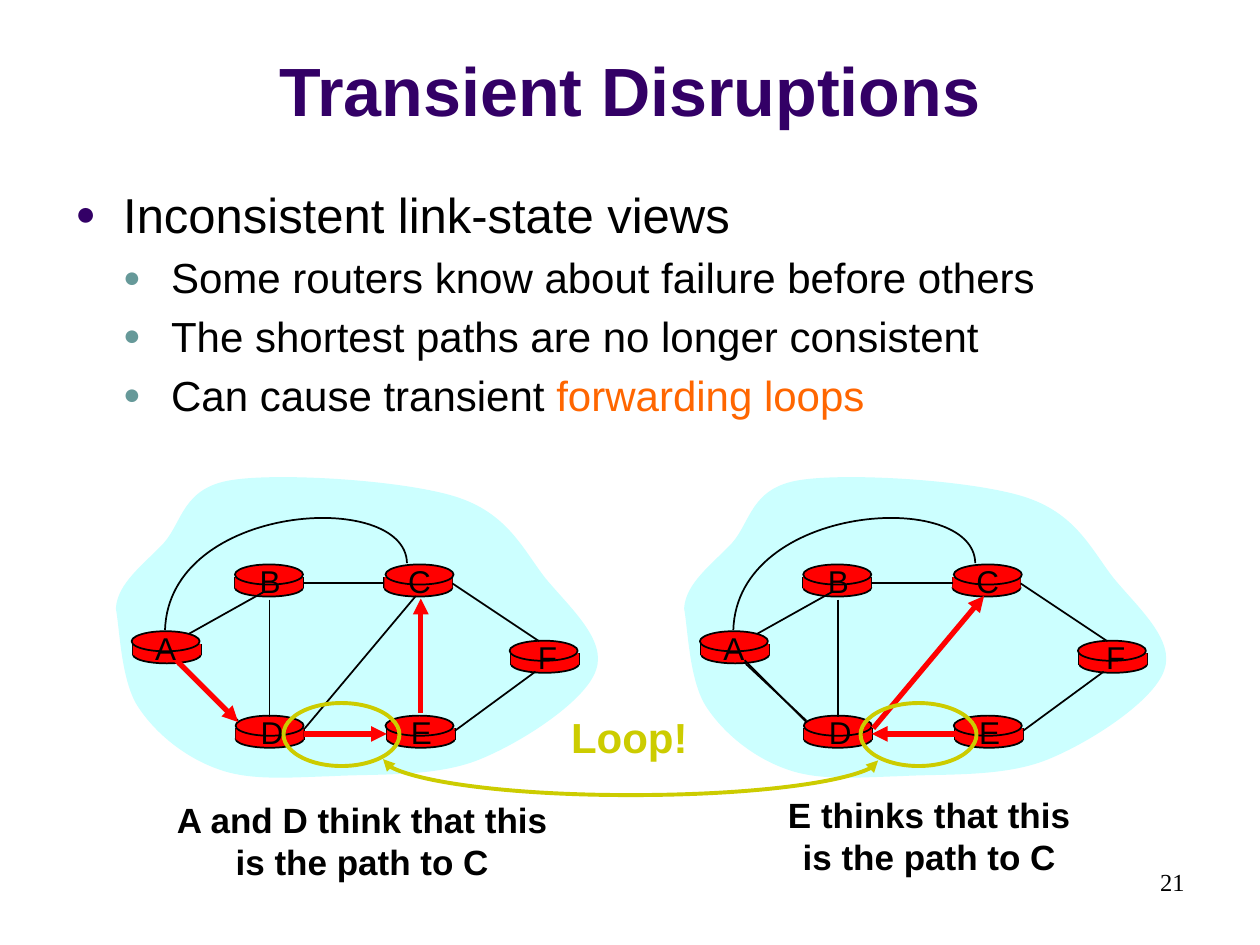
import pptx
import pptx.dml.color
import pptx.enum.shapes
import pptx.enum.text
import pptx.oxml.ns
import pptx.util
from lxml import etree

COLUMNS, ROWS = 100, 75
INK, RED, OLIVE, PURPLE, TEAL = "000000", "FF0000", "CCCC00", "330066", "669999"
SHAPE = pptx.enum.shapes.MSO_SHAPE
ALIGN = pptx.enum.text.PP_ALIGN
ANCHOR = pptx.enum.text.MSO_ANCHOR

CLOUD = [
    (0, 10.8),
    (0.1, 8.8), (2.2, 7.3), (3.8, 5.6), (5.3, 3.9), (5.3, 1.2), (9.2, 0.6),
    (13, 0), (22.7, 0.6), (26.9, 1.9), (31.1, 3.2), (32.3, 6.1), (34.1, 8.4),
    (36, 10.7), (39, 13.3), (38.1, 15.7), (37.3, 18.1), (32.3, 21.4), (28.8, 22.8),
    (25.3, 24.2), (20.7, 23.9), (17.2, 24.1), (13.8, 24.2), (10.6, 24.5), (8, 23.5),
    (5.5, 22.6), (3.1, 20.7), (1.7, 18.5), (0.4, 16.4), (0.3, 12.4), (0, 10.8),
]
DETOUR = [(23.1, 7.2), (23, 1.3), (4.2, 2.4), (3.9, 12.5)]
ROUTERS = {"A": (1.25, 12.6, 0.1, 0.85), "B": (9.45, 7.3, 0, 0.95),
           "C": (21.4, 7.3, -0.1, 0.8), "D": (9.5, 19.3, 0, 1),
           "E": (21.4, 19.3, 0.1, 1), "F": (31.25, 13.35, 0.1, 1.15)}
LINKS = {"AB": (5.8, 12.8, 11.7, 9.5), "BD": (12.2, 10.1, 12.2, 19.4),
         "DC": (15, 20.3, 23.8, 9.8), "EF": (26.9, 20.5, 33.3, 15.8),
         "DA": (9.7, 19.7, 4.9, 15.2), "CF": (26.7, 8.8, 33.6, 13.4),
         "AD": (4.8, 14.9, 9.7, 19.8), "EC": (24.2, 19.1, 24.2, 10)}
SIDE_LINKS = ["BC", "DE"]


def cells(*counts):
    """Turn grid cells, a tenth of an inch each, into lengths."""
    return [pptx.util.Inches(count / 10) for count in counts]


def rgb(code):
    """Return a colour from its hex string."""
    return pptx.dml.color.RGBColor.from_string(code)


def sub(parent, tag, **attributes):
    """Append a drawing element with attributes."""
    element = etree.SubElement(parent, pptx.oxml.ns.qn(tag))
    for key, value in attributes.items():
        element.set(key, value)
    return element


def write(paragraph, text, size=18, color=INK, font="Arial", bold=False, align=None):
    """Add text to a paragraph, breaking at newlines."""
    if align is not None:
        paragraph.alignment = align
    for index, line in enumerate(text.split("\n")):
        if index:
            paragraph.add_line_break()
        run = paragraph.add_run()
        run.text = line
        run.font.size = pptx.util.Pt(size)
        run.font.name = font
        run.font.bold = bold
        run.font.color.rgb = rgb(color)


def add_frame(slide, box, anchor=ANCHOR.TOP, wrap=True):
    """Add an empty text box and return its frame."""
    frame = slide.shapes.add_textbox(*cells(*box)).text_frame
    frame.word_wrap = wrap
    frame.vertical_anchor = anchor
    return frame


def style(shape, fill=None, line=None, width=1):
    """Set fill and outline, and drop the shadow."""
    shape.shadow.inherit = False
    if fill:
        shape.fill.solid()
        shape.fill.fore_color.rgb = rgb(fill)
    else:
        shape.fill.background()
    if line:
        shape.line.color.rgb = rgb(line)
        shape.line.width = pptx.util.Pt(width)
    else:
        shape.line.fill.background()
    return shape


def add_line(slide, ends, color=INK, width=1, arrows=(), kind="STRAIGHT"):
    """Add a connector with arrowheads at the named ends."""
    connector = slide.shapes.add_connector(
        getattr(pptx.enum.shapes.MSO_CONNECTOR, kind), *cells(*ends))
    connector.line.color.rgb = rgb(color)
    connector.line.width = pptx.util.Pt(width)
    for arrow in arrows:
        sub(connector.line._get_or_add_ln(), arrow, type="triangle")
    sub(connector._element.spPr, "a:effectLst")
    return connector


def add_curve(slide, origin, points, close, **look):
    """Draw an outline of cubic curves, three points to each curve."""
    left, top = origin
    places = [cells(left + x, top + y) for x, y in points]
    builder = slide.shapes.build_freeform(*places[0])
    builder.add_line_segments(places[1:], close=close)
    outline = builder.convert_to_shape()
    segments = list(outline._element.spPr.iter(pptx.oxml.ns.qn("a:lnTo")))
    for first in range(0, len(segments), 3):
        bend = etree.Element(pptx.oxml.ns.qn("a:cubicBezTo"))
        segments[first].addprevious(bend)
        for segment in segments[first:first + 3]:
            bend.append(segment[0])
            segment.getparent().remove(segment)
    style(outline, **look)


def add_router(slide, x, y, shift):
    """Draw a router as a flat cylinder and return its middle band."""
    body = x + shift
    style(slide.shapes.add_shape(SHAPE.OVAL, *cells(body, y + 1.15, 5.4, 1.4)), RED, INK)
    for side in (body, body + 5.4):
        add_line(slide, (side, y + 1, side, y + 1.9))
    band = style(slide.shapes.add_shape(SHAPE.RECTANGLE, *cells(body, y + 1, 5.4, 0.9)), RED)
    style(slide.shapes.add_shape(SHAPE.OVAL, *cells(x, y, 5.4, 1.6)), RED, INK)
    return band


def add_network(slide, origin, hops):
    """Draw the network at an origin, with the hops as red arrows."""
    left, top = origin
    red_arrow = dict(color=RED, width=3, arrows=["a:tailEnd"])
    add_curve(slide, origin, CLOUD, True, fill="CCFFFF")
    bands = {name: add_router(slide, left + x, top + y, shift)
             for name, (x, y, shift, _) in ROUTERS.items()}
    for name, (x1, y1, x2, y2) in LINKS.items():
        if name in hops or name != "EC":
            look = red_arrow if name in hops else {}
            add_line(slide, (left + x1, top + y1, left + x2, top + y2), **look)
    for name in SIDE_LINKS:
        reverse = name[::-1] in hops
        look = red_arrow if reverse or name in hops else {}
        link = add_line(slide, (left, top, left, top), **look)
        begin, end = name[::-1] if reverse else name
        link.begin_connect(bands[begin], 1 if reverse else 3)
        link.end_connect(bands[end], 3 if reverse else 1)
    add_curve(slide, origin, DETOUR, False, line=INK)
    for name, (x, y, _, inset) in ROUTERS.items():
        frame = add_frame(slide, (left + x + inset, top + y - 0.7, 3.7, 4), wrap=False)
        write(frame.paragraphs[0], name, align=ALIGN.CENTER)


def add_bullets(slide, box):
    """Write the main point and its details."""
    frame = add_frame(slide, box)
    points = [(0, "Inconsistent link-state views", ""),
              (1, "Some routers know about failure before others", ""),
              (1, "The shortest paths are no longer consistent", ""),
              (1, "Can cause transient ", "forwarding loops")]
    for index, (level, text, accent) in enumerate(points):
        paragraph = frame.add_paragraph() if index else frame.paragraphs[0]
        size = 24 if level else 28
        properties = paragraph._p.get_or_add_pPr()
        properties.set("marL", str(pptx.util.Inches(0.38 * (level + 1))))
        properties.set("indent", str(pptx.util.Inches(-0.38)))
        sub(sub(properties, "a:buClr"), "a:srgbClr", val=TEAL if level else PURPLE)
        sub(properties, "a:buSzPct", val="70000")
        sub(properties, "a:buFont", typeface="Arial")
        sub(properties, "a:buChar", char="●")
        paragraph.level = level
        if index:
            paragraph.space_before = pptx.util.Pt(size * 0.2)
        write(paragraph, text, size=size)
        if accent:
            write(paragraph, accent, size=size, color="FF6600")


def add_loop(slide, box):
    """Ring the two opposing hops and join the rings."""
    left, top, width, height = box
    for ring in (left, left + width - 9.2):
        style(slide.shapes.add_shape(SHAPE.OVAL, *cells(ring, top, 9.2, height)),
              line=OLIVE, width=2.25)
    middle, level, reach = left + width / 2, top + 4.5, 19.65
    bow = add_line(slide, (middle + 0.1, level - reach, middle, level + reach), OLIVE, 2.25,
                   ["a:headEnd", "a:tailEnd"], "CURVE")
    bow._element.spPr.find(pptx.oxml.ns.qn("a:xfrm")).set("rot", "16200000")
    geometry = bow._element.spPr.find(pptx.oxml.ns.qn("a:prstGeom"))
    sub(geometry.find(pptx.oxml.ns.qn("a:avLst")), "a:gd", name="adj1", fmla="val 2900000")
    frame = add_frame(slide, (middle - 5.7, top + 0.2, 11.3, 5), ANCHOR.MIDDLE, False)
    write(frame.paragraphs[0], "Loop!", size=24, color=OLIVE, bold=True, align=ALIGN.CENTER)


def main():
    """Build and save the slide."""
    deck = pptx.Presentation()
    deck.slide_width, deck.slide_height = cells(COLUMNS, ROWS)
    slide = deck.slides.add_slide(deck.slide_layouts[6])
    title = add_frame(slide, (0, 1.3, COLUMNS, 9.5), ANCHOR.BOTTOM)
    write(title.paragraphs[0], "Transient Disruptions", size=39, color=PURPLE, bold=True,
          align=ALIGN.CENTER)
    add_bullets(slide, (5, 14.15, 93.3, 52.9))
    number = add_frame(slide, (71.7, 68.3, 23.3, 5))
    write(number.paragraphs[0], "21", size=14, font="Times New Roman", align=ALIGN.RIGHT)
    add_network(slide, (9.2, 37.5), ["AD", "DE", "EC"])
    add_network(slide, (54.3, 37.5), ["DC", "ED"])
    captions = [("A and D think that this\nis the path to C", (6.65, 62.85, 44.2, 7.7)),
                ("E thinks that this\nis the path to C", (54.15, 62.5, 39.2, 7.7))]
    for caption, box in captions:
        frame = add_frame(slide, box, ANCHOR.MIDDLE)
        write(frame.paragraphs[0], caption, size=20, bold=True, align=ALIGN.CENTER)
    add_loop(slide, (22.5, 55.8, 55, 5))
    deck.save("out.pptx")


if __name__ == "__main__":
    main()
